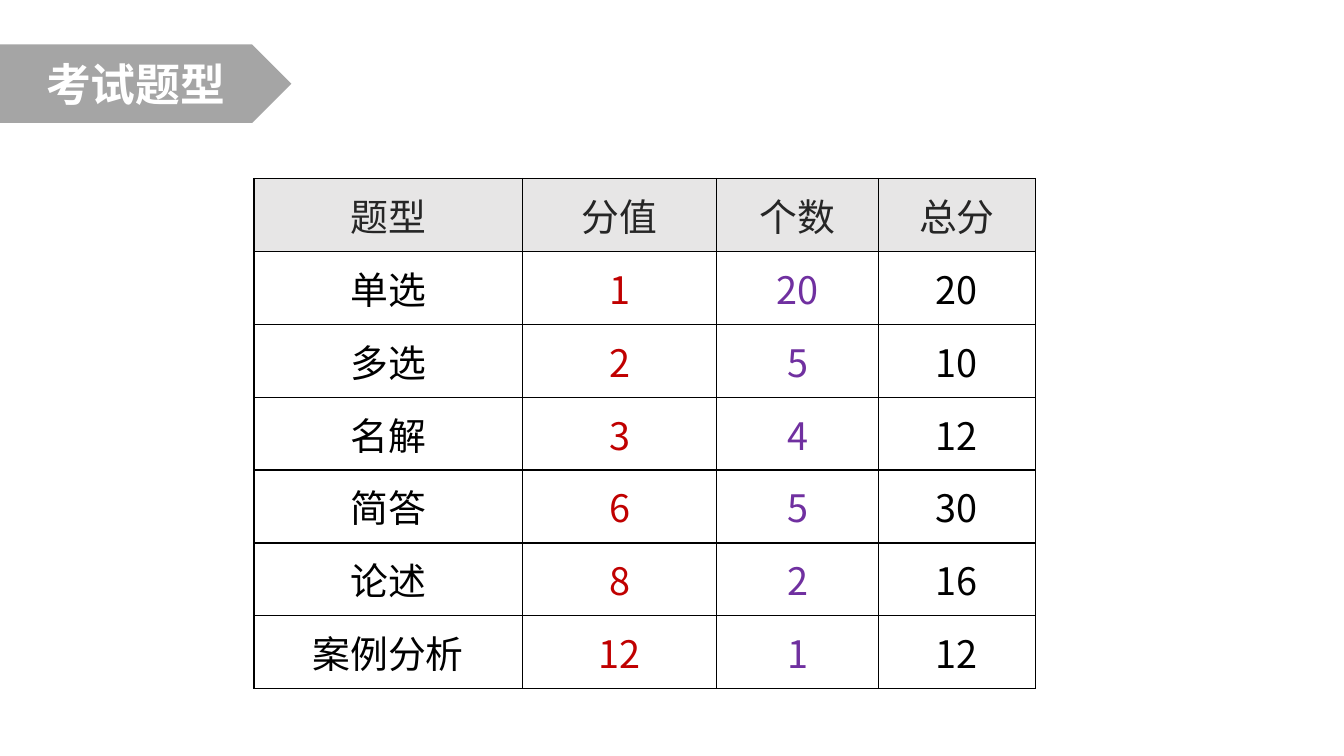
import pptx
import pptx.util
import pptx.dml.color
import pptx.enum.shapes
import pptx.enum.text
import pptx.oxml.ns
from lxml import etree
from pptx.util import Inches

RGBColor = pptx.dml.color.RGBColor
GRAY = RGBColor(0xA5, 0xA5, 0xA5)
LIGHT = RGBColor(0xE7, 0xE6, 0xE6)
WHITE = RGBColor(0xFF, 0xFF, 0xFF)
BLACK = RGBColor(0x00, 0x00, 0x00)
DARK = RGBColor(0x26, 0x26, 0x26)
RED = RGBColor(0xC0, 0x00, 0x00)
PURPLE = RGBColor(0x70, 0x30, 0xA0)
qn = pptx.oxml.ns.qn


def style_text(tf, font, size, color, bold=False):
    p = tf.paragraphs[0]
    p.alignment = pptx.enum.text.PP_ALIGN.CENTER
    r = p.runs[0]
    r.font.name = font
    r.font.size = pptx.util.Pt(size)
    r.font.bold = bold
    r.font.color.rgb = color
    latin = r.font._element.find(qn("a:latin"))
    ea = etree.Element(qn("a:ea"), typeface=font)
    latin.addnext(ea)


def add_borders(cell):
    tcPr = cell._tc.get_or_add_tcPr()
    for side in ("lnL", "lnR", "lnT", "lnB"):
        ln = etree.SubElement(tcPr, qn("a:" + side), w=str(pptx.util.Pt(1)))
        fill = etree.SubElement(ln, qn("a:solidFill"))
        etree.SubElement(fill, qn("a:srgbClr"), val=str(BLACK))


prs = pptx.Presentation()
prs.slide_width, prs.slide_height = Inches(13.33), Inches(7.5)
s = prs.slides.add_slide(prs.slide_layouts[6])

# Title tag
sp = s.shapes.add_shape(pptx.enum.shapes.MSO_SHAPE.PENTAGON,
                        Inches(0), Inches(0.44), Inches(2.89), Inches(0.78))
sp.shadow.inherit = False
sp.fill.solid()
sp.fill.fore_color.rgb = GRAY
sp.line.fill.background()
tf = sp.text_frame
tf.text = "考试题型"
tf.vertical_anchor = pptx.enum.text.MSO_ANCHOR.MIDDLE
style_text(tf, "Noto Sans CJK JP", 32, WHITE, bold=True)

# Question types: name, points each, count; the total is their product
questions = [("单选", 1, 20), ("多选", 2, 5), ("名解", 3, 4),
             ("简答", 6, 5), ("论述", 8, 2), ("案例分析", 12, 1)]
rows = [("题型", "分值", "个数", "总分")]
rows += [(name, points, count, points * count) for name, points, count in questions]
col_widths = [2.66, 1.93, 1.6, 1.56]
col_colors = [BLACK, RED, PURPLE, BLACK]

# Score table
table = s.shapes.add_table(len(rows), len(col_widths), Inches(2.52), Inches(1.77),
                           Inches(7.75), Inches(0.63 * len(rows))).table
table.horz_banding = False
for column, width in zip(table.columns, col_widths):
    column.width = Inches(width)
for i, row in enumerate(rows):
    for j, value in enumerate(row):
        cell = table.cell(i, j)
        cell.margin_left = cell.margin_right = Inches(0.18)
        cell.margin_top = cell.margin_bottom = Inches(0.09)
        add_borders(cell)
        if i == 0:
            cell.fill.solid()
            cell.fill.fore_color.rgb = LIGHT
        else:
            cell.fill.background()
        cell.text_frame.text = str(value)
        style_text(cell.text_frame, "Noto Sans CJK SC", 27,
                   DARK if i == 0 else col_colors[j])

prs.save("out.pptx")
